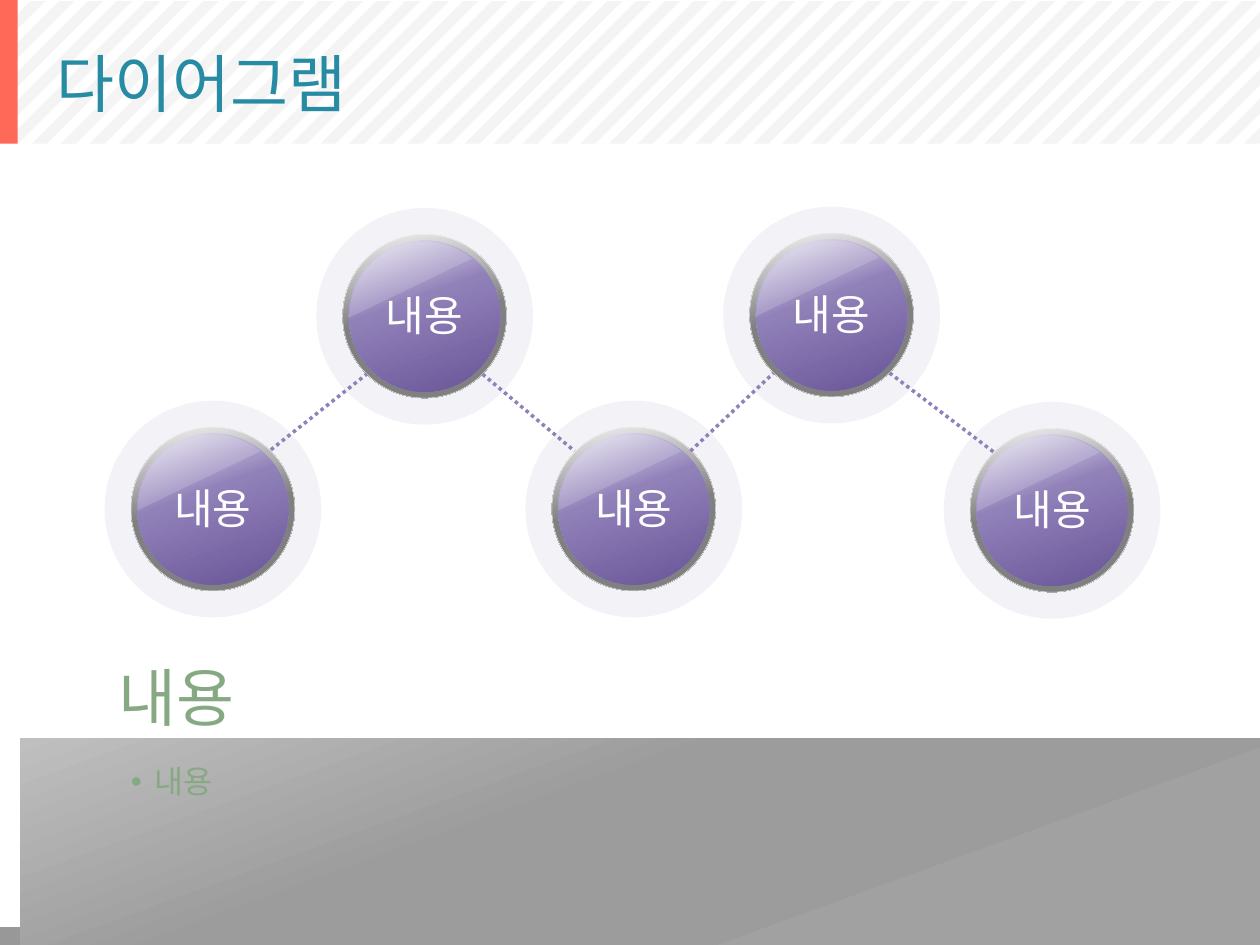
from typing import NamedTuple

from lxml import etree
from pptx import Presentation
from pptx import util as u
from pptx.dml.color import RGBColor
from pptx.enum import dml, shapes, text
from pptx.oxml.ns import qn

WIDTH, HEIGHT = 10, 7.5
FONT = "Arial"
COLORS = {
    "stripe": "EBEBEB", "accent": "FF6957", "title": "268BA3", "label": "FDFDFD",
    "body": "86A983", "violet": "9181B9", "gloss": "E9E6F1", "rim": "F2F2F2",
}
GRADIENTS = {
    "footer": (0, [(0, "989898"), (50, "CCCCCC"), (100, "989898")]),
    "panel": (70, [(0, "BFBFBF"), (40, "9D9C9C"), (100, "A2A1A1")]),
    "rim": (80, [(0, "F2F2F2"), (50, "808080"), (100, "808080")]),
    "ball": (70, [(0, "F4F2F8"), (40, "9181B9"), (100, "675497")]),
}
STRIPE_COUNT, STRIPE_STEP, STRIPE_WIDTH = 49, 0.229, 0.12
BAND_TOP, BAND_BOTTOM = 0.01, 1.14
HALO, RIM, BALL = 1.72, 1.3, 1.2


class Box(NamedTuple):
    left: float
    top: float
    width: float
    height: float

    def emu(self) -> list:
        return [u.Inches(value) for value in self]


class Node(NamedTuple):
    x: float
    y: float
    label: str


class Link(NamedTuple):
    x1: float
    y1: float
    x2: float
    y2: float


NODES = [
    Node(3.37, 2.51, "내용"), Node(1.69, 4.04, "내용"), Node(6.6, 2.5, "내용"),
    Node(5.03, 4.04, "내용"), Node(8.35, 4.05, "내용"),
]
LINKS = [
    Link(2.15, 3.57, 2.91, 2.97), Link(3.83, 2.97, 4.56, 3.58),
    Link(5.48, 3.58, 6.14, 2.96), Link(7.06, 2.96, 7.89, 3.59),
]


def rgb(name: str) -> RGBColor:
    return RGBColor.from_string(COLORS[name])


def fill_solid(shape, color: str, opacity: int = 100) -> None:
    shape.shadow.inherit = False
    shape.line.fill.background()
    shape.fill.solid()
    shape.fill.fore_color.rgb = rgb(color)
    if opacity < 100:
        tint = shape.fill._xPr.find(".//" + qn("a:srgbClr"))
        etree.SubElement(tint, qn("a:alpha"), val=str(opacity * 1000))


def fill_gradient(shape, name: str) -> None:
    angle, stops = GRADIENTS[name]
    shape.shadow.inherit = False
    shape.line.fill.background()
    shape.fill.gradient()
    gradient = shape.fill._xPr.find(qn("a:gradFill"))
    for child in list(gradient):
        gradient.remove(child)
    stop_list = etree.SubElement(gradient, qn("a:gsLst"))
    for position, color in stops:
        stop = etree.SubElement(stop_list, qn("a:gs"), pos=str(position * 1000))
        etree.SubElement(stop, qn("a:srgbClr"), val=color)
    etree.SubElement(gradient, qn("a:lin"), ang=str(angle * 60000), scaled="0")


def add_text(holder, box: Box, words: str, size: int, color: str, *,
             align=text.PP_ALIGN.LEFT, anchor=text.MSO_ANCHOR.TOP,
             inset: tuple = (0.1, 0.05), bullet_indent: float = 0) -> None:
    frame = holder.add_textbox(*box.emu()).text_frame
    side, edge = (u.Inches(value) for value in inset)
    settings = {
        "word_wrap": True, "vertical_anchor": anchor,
        "margin_left": side, "margin_right": side,
        "margin_top": edge, "margin_bottom": edge,
    }
    for name, value in settings.items():
        setattr(frame, name, value)
    para = frame.paragraphs[0]
    para.alignment = align
    if bullet_indent:
        properties = para._p.get_or_add_pPr()
        indent = u.Inches(bullet_indent)
        properties.set("marL", str(indent))
        properties.set("indent", str(-indent))
        etree.SubElement(properties, qn("a:buFont"), typeface=FONT)
        etree.SubElement(properties, qn("a:buChar"), char="•")
    span = para.add_run()
    span.text = words
    for name, value in {"size": u.Pt(size), "name": FONT}.items():
        setattr(span.font, name, value)
    span.font.color.rgb = rgb(color)


def diagonal(total: float) -> list[tuple[float, float]]:
    """Ends of the line x + y = total, cut to the header band."""
    upper_x = min(total - BAND_TOP, WIDTH)
    lower_x = max(total - BAND_BOTTOM, 0)
    return [(upper_x, total - upper_x), (lower_x, total - lower_x)]


def add_stripes(page) -> None:
    for index in range(STRIPE_COUNT):
        start = 0.02 + index * STRIPE_STEP
        corners = diagonal(start) + diagonal(start + STRIPE_WIDTH)[::-1]
        points = [(u.Inches(x), u.Inches(y)) for x, y in corners]
        builder = page.shapes.build_freeform(*points[0])
        builder.add_line_segments(points[1:], close=True)
        fill_solid(builder.convert_to_shape(), "stripe", 52)


def add_node(page, node: Node) -> None:
    group = page.shapes.add_group_shape().shapes

    def disc(kind, size: float, drop: float = 0):
        box = Box(node.x - size / 2, node.y - size / 2 + drop, size, size)
        return group.add_shape(kind, *box.emu())

    oval = shapes.MSO_SHAPE.OVAL
    fill_solid(disc(oval, HALO), "violet", 10)
    rim = disc(oval, RIM)
    fill_gradient(rim, "rim")
    rim.line.color.rgb = rgb("rim")
    rim.line.width = u.Pt(0.25)
    fill_gradient(disc(oval, BALL), "ball")
    gloss = disc(shapes.MSO_SHAPE.CHORD, BALL, 0.01)
    gloss.rotation = 90
    gloss.adjustments[0], gloss.adjustments[1] = 53.95, 131.3
    fill_solid(gloss, "gloss", 20)
    add_text(group, Box(node.x - 0.58, node.y - 0.26, 1.16, 0.5), node.label, 24,
             "label", align=text.PP_ALIGN.CENTER)


def add_link(page, link: Link) -> None:
    ends = [u.Inches(value) for value in link]
    line = page.shapes.add_connector(shapes.MSO_CONNECTOR.STRAIGHT, *ends)
    line.line.color.rgb = rgb("violet")
    line.line.width = u.Pt(2)
    line.line.dash_style = dml.MSO_LINE.ROUND_DOT
    etree.SubElement(line._element.spPr, qn("a:effectLst"))


def main() -> None:
    deck = Presentation()
    deck.slide_width, deck.slide_height = u.Inches(WIDTH), u.Inches(HEIGHT)
    page = deck.slides.add_slide(deck.slide_layouts[6])

    def add_block(box: Box):
        return page.shapes.add_shape(shapes.MSO_SHAPE.RECTANGLE, *box.emu())

    add_stripes(page)
    fill_gradient(add_block(Box(0, 7.36, 10.02, 0.14)), "footer")
    fill_solid(add_block(Box(0, 0, 0.14, BAND_BOTTOM)), "accent")
    add_text(page.shapes, Box(0.35, 0.14, 9.27, 1.03), "다이어그램", 36, "title",
             anchor=text.MSO_ANCHOR.MIDDLE)
    fill_gradient(add_block(Box(0.16, 5.86, 9.84, 1.64)), "panel")
    for node in NODES:
        add_node(page, node)
    for link in LINKS:
        add_link(page, link)
    add_text(page.shapes, Box(0.94, 5.23, 8.12, 0.6), "내용", 36, "body",
             anchor=text.MSO_ANCHOR.BOTTOM, inset=(0, 0))
    add_text(page.shapes, Box(0.94, 5.95, 8.12, 0.5), "내용", 18, "body",
             anchor=text.MSO_ANCHOR.MIDDLE, bullet_indent=0.19)
    deck.save("out.pptx")


if __name__ == "__main__":
    main()
